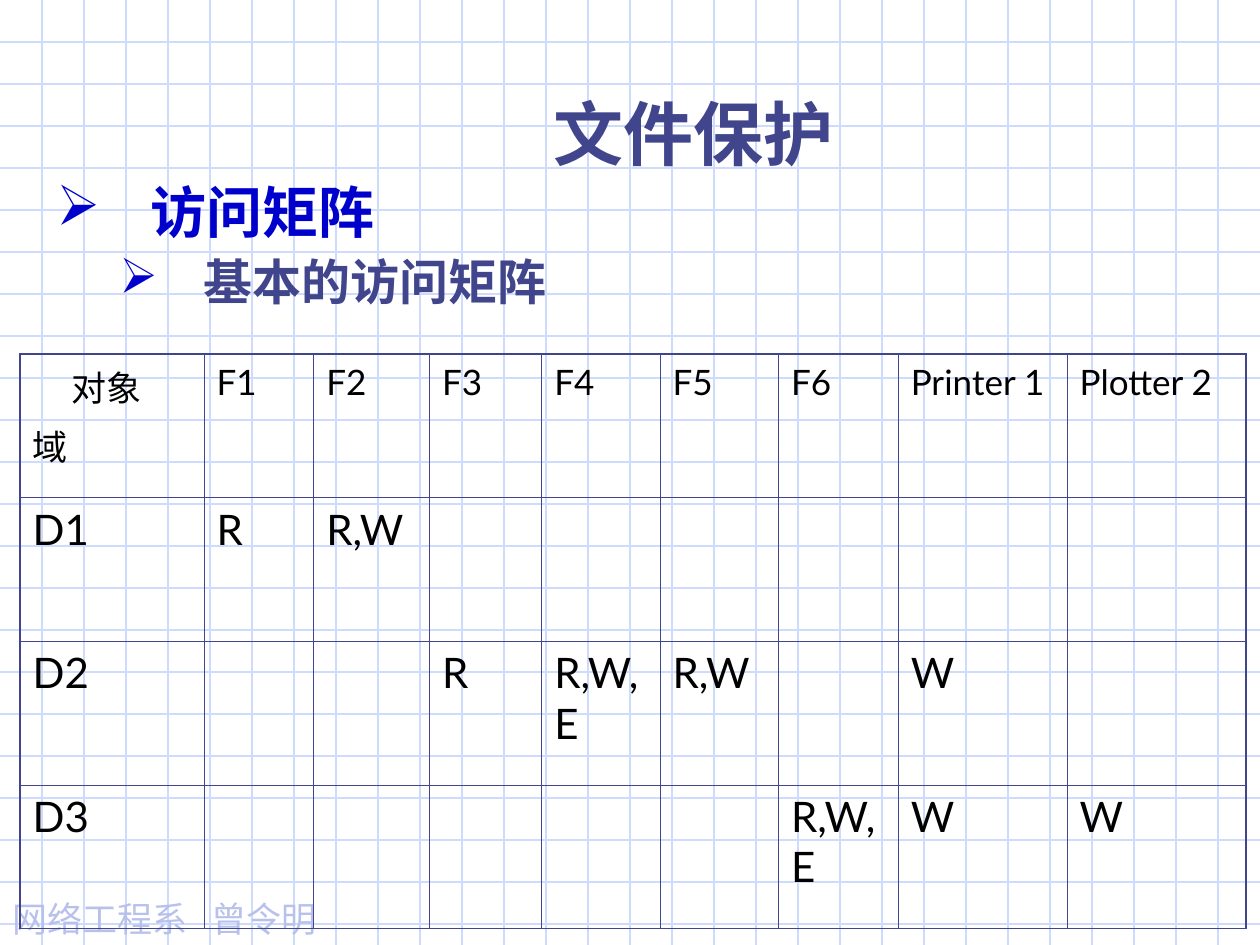
from lxml import etree
from pptx import Presentation
from pptx.dml.color import RGBColor
from pptx.enum.shapes import MSO_CONNECTOR as Connector
from pptx.enum.text import MSO_ANCHOR as Anchor, PP_ALIGN as Align
from pptx.oxml.ns import qn
from pptx.util import Inches, Pt

INDIGO = RGBColor(0x40, 0x45, 0x8C)
BLUE = RGBColor(0x00, 0x00, 0xCC)
PALE_BLUE = RGBColor(0xCF, 0xDB, 0xFD)
LAVENDER = RGBColor(0xB7, 0xC1, 0xEB)
BLACK = RGBColor(0x00, 0x00, 0x00)
LATO, TIMES, CJK = "Lato", "Times New Roman", "Noto Sans CJK JP"
WIDTH, HEIGHT = 10, 7.5


class Painter:
    thin, thick = 0.45, 1.08

    def __init__(self, page):
        self.page = page

    def line(self, x1, y1, x2, y2):
        line = self.page.shapes.add_connector(
            Connector.STRAIGHT, Inches(x1), Inches(y1), Inches(x2), Inches(y2))
        line.line.color.rgb = PALE_BLUE
        line.line.width = Pt(0.75)
        etree.SubElement(line._element.spPr, qn("a:effectLst"))

    def text_box(self, left, top, width, height, anchor=Anchor.TOP):
        box = self.page.shapes.add_textbox(
            Inches(left), Inches(top), Inches(width), Inches(height))
        box.text_frame.word_wrap = True
        box.text_frame.vertical_anchor = anchor
        return box.text_frame

    def label(self, para, text, size, color, font=LATO, bold=False):
        para.text = text
        for span in para.runs:
            span.font.size = Pt(size)
            span.font.color.rgb = color
            span.font.name = font
            span.font.bold = bold
            east_asian = etree.SubElement(span.font._element, qn("a:ea"))
            east_asian.set("typeface", CJK)

    def indent(self, para, margin, first=0):
        properties = para._p.get_or_add_pPr()
        properties.set("marL", str(Inches(margin)))
        properties.set("indent", str(Inches(first)))
        return properties

    def bullet(self, para, margin, hanging):
        properties = self.indent(para, margin, -hanging)
        color = etree.SubElement(properties, qn("a:buClr"))
        etree.SubElement(color, qn("a:srgbClr")).set("val", str(BLUE))
        etree.SubElement(properties, qn("a:buChar")).set("char", "➢")

    def tab_stop(self, para, position):
        tabs = etree.SubElement(para._p.get_or_add_pPr(), qn("a:tabLst"))
        etree.SubElement(tabs, qn("a:tab"), pos=str(Inches(position)), algn="l")

    def borders(self, cell, outer_sides):
        properties = cell._tc.get_or_add_tcPr()
        for index, side in enumerate("LRTB"):
            width = self.thick if side in outer_sides else self.thin
            border = etree.Element(qn(f"a:ln{side}"), w=str(Pt(width)))
            fill = etree.SubElement(border, qn("a:solidFill"))
            etree.SubElement(fill, qn("a:srgbClr")).set("val", str(INDIGO))
            properties.insert(index, border)

    def table(self, left, top, widths, row_height, rows):
        table = self.page.shapes.add_table(
            len(rows), len(widths), Inches(left), Inches(top),
            Inches(sum(widths)), Inches(row_height * len(rows))).table
        table.first_row = table.horz_banding = False
        for column, width in zip(table.columns, widths):
            column.width = Inches(width)
        last_row, last_column = len(rows) - 1, len(widths) - 1
        for r, row in enumerate(rows):
            for c, text in enumerate(row):
                cell = table.cell(r, c)
                cell.fill.background()
                outer = {"L": c == 0, "R": c == last_column,
                         "T": r == 0, "B": r == last_row}
                self.borders(cell, [side for side in outer if outer[side]])
                if text:
                    self.label(cell.text_frame.paragraphs[0], text,
                               20 if r == 0 else 24, BLACK)
        return table


def main():
    deck = Presentation()
    deck.slide_width, deck.slide_height = Inches(WIDTH), Inches(HEIGHT)
    page = deck.slides.add_slide(deck.slide_layouts[6])
    painter = Painter(page)

    # Background grid, three squares to the inch
    for step in range(1, 23):
        painter.line(0, step / 3, WIDTH, step / 3)
    for step in range(1, 30):
        painter.line(step / 3, 0, step / 3, HEIGHT)

    # Footer
    footer = painter.text_box(0, 7.07, 2.67, 0.44).paragraphs[0]
    painter.tab_stop(footer, 1.58)
    painter.label(footer, "网络工程系\t曾令明", 20, LAVENDER, CJK)

    # Bulleted headings
    body = painter.text_box(0.35, 1.42, 9.37, 1.23)
    topic, subtopic = body.paragraphs[0], body.add_paragraph()
    topic.line_spacing = subtopic.line_spacing = 0.9
    subtopic.level = 1
    subtopic.space_before = Pt(7)
    painter.bullet(topic, 0.75, 0.75)
    painter.bullet(subtopic, 1.17, 0.67)
    painter.label(topic, "访问矩阵", 32, BLUE, TIMES, bold=True)
    painter.label(subtopic, "基本的访问矩阵", 28, INDIGO, bold=True)

    # Title
    title = painter.text_box(1.42, 0.67, 8.17, 0.77, Anchor.MIDDLE).paragraphs[0]
    title.alignment = Align.CENTER
    painter.label(title, "文件保护", 40, INDIGO, CJK, bold=True)

    # Access matrix: domains against objects
    rows = [
        ["对象", "F1", "F2", "F3", "F4", "F5", "F6", "Printer 1", "Plotter 2"],
        ["D1", "R", "R,W", "", "", "", "", "", ""],
        ["D2", "", "", "R", "R,W,E", "R,W", "", "W", ""],
        ["D3", "", "", "", "", "", "R,W,E", "W", "W"],
    ]
    widths = [1.46, 0.87, 0.92, 0.89, 0.94, 0.94, 0.95, 1.34, 1.42]
    matrix = painter.table(0.16, 2.81, widths, 1.14, rows)

    # Corner cell names both axes
    corner = matrix.cell(0, 0).text_frame
    painter.indent(corner.paragraphs[0], 0.31)
    domain = corner.add_paragraph()
    domain.space_before = Pt(5)
    painter.label(domain, "域", 20, BLACK)

    deck.save("out.pptx")


if __name__ == "__main__":
    main()
